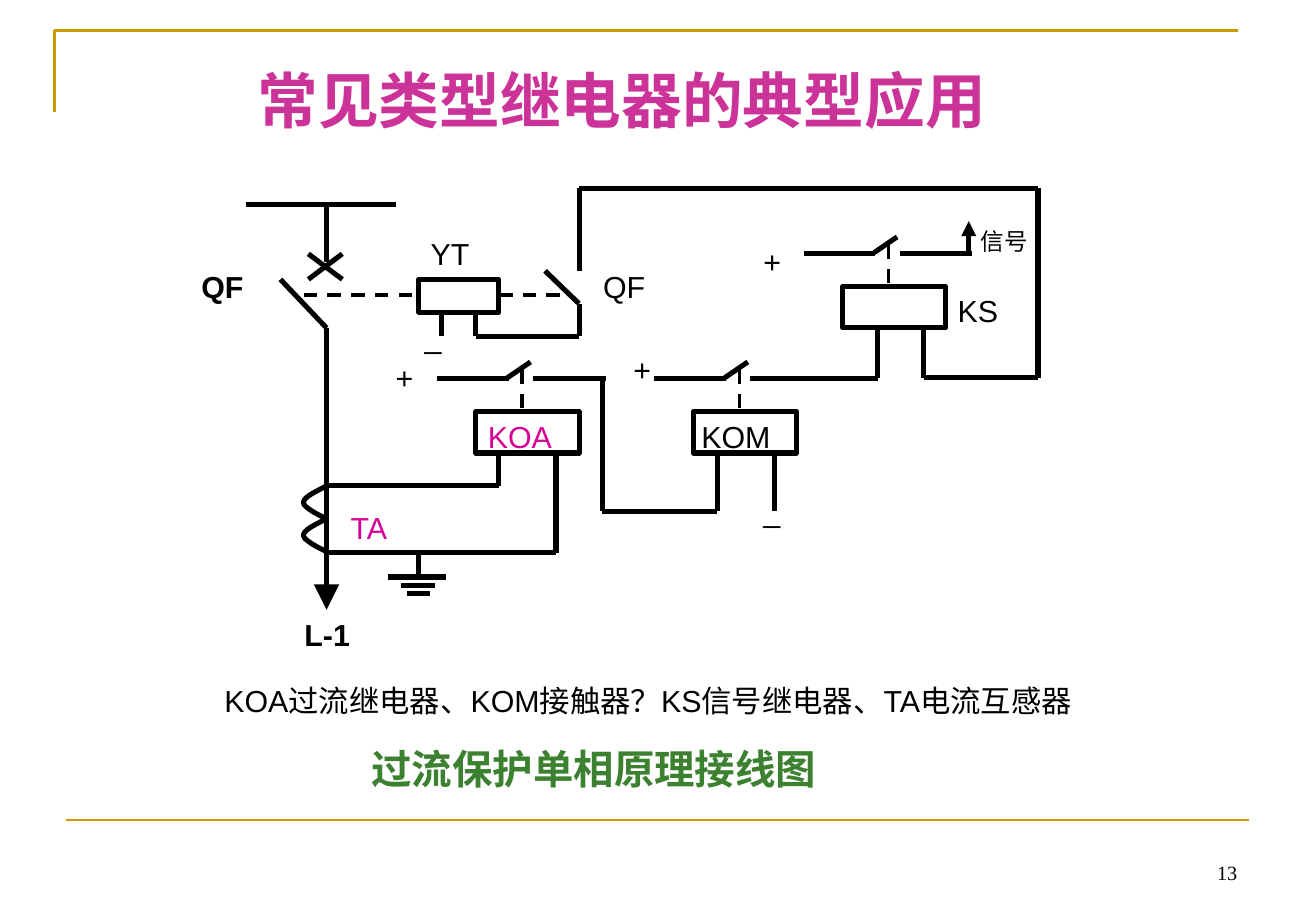
"""Slide: typical relay application, single-phase overcurrent protection wiring."""
from itertools import pairwise

from lxml import etree
from pptx import Presentation
from pptx import util as u
from pptx.dml.color import RGBColor
from pptx.enum import dml, shapes, text
from pptx.oxml import ns

PX = 9144
BLACK = RGBColor(0, 0, 0)
WHITE = RGBColor(255, 255, 255)
GOLD = RGBColor(0xCC, 0x99, 0x00)
PINK = RGBColor(0xCC, 0x33, 0x99)
MAGENTA = RGBColor(0xD6, 0x00, 0x93)
GREEN = RGBColor(0x3B, 0x81, 0x2F)

WIRES = [
    [(203, 168), (326, 168)],
    [(269, 168), (269, 216)],
    [(254, 209), (282, 230)],
    [(282, 209), (254, 230)],
    [(231, 230), (269, 270)],
    [(269, 400), (411, 400), (411, 373)],
    [(269, 455), (458, 455), (458, 373)],
    [(496, 312), (496, 421), (591, 421), (591, 373)],
    [(638, 373), (638, 421)],
    [(723, 270), (723, 311)],
    [(761, 270), (761, 311), (855, 311), (855, 155), (477, 155), (477, 223)],
    [(449, 223), (477, 250), (477, 277), (392, 277), (392, 257)],
    [(364, 257), (364, 277)],
    [(345, 455), (345, 475)],
    [(320, 475), (367, 475)],
    [(330, 482), (358, 482)],
    [(335, 489), (354, 489)],
]
MECHANICAL_LINKS = [[(250, 243), (345, 243)], [(411, 243), (468, 243)]]
RELAYS = [(360, 312, 499), (539, 312, 723), (662, 209, 801)]
LABELS = [
    ("YT", 345, 189, BLACK),
    ("KOA", 392, 339, MAGENTA),
    ("KS", 779, 236, BLACK),
    ("KOM", 568, 339, BLACK),
    ("TA", 279, 414, MAGENTA),
    ("QF", 487, 216, BLACK),
    ("_", 340, 257, BLACK),
    ("+", 619, 195, BLACK),
    ("+", 512, 284, BLACK),
    ("+", 316, 291, BLACK),
    ("_", 619, 400, BLACK),
]
BOLD_LABELS = [("QF", 156, 216), ("L-1", 241, 502)]


def wire(slide, points, color=BLACK, width=3, dashed=False, arrow=None):
    """Draw straight connectors through the points, with an optional arrowhead."""
    for start, end in pairwise(points):
        segment = slide.shapes.add_connector(
            shapes.MSO_CONNECTOR.STRAIGHT, *(v * PX for v in start + end))
        segment.line.color.rgb = color
        segment.line.width = u.Pt(width)
        if dashed:
            segment.line.dash_style = dml.MSO_LINE.DASH
        if arrow:
            etree.SubElement(segment.line._get_or_add_ln(), ns.qn("a:tailEnd"),
                             type="triangle", w=arrow, len=arrow)
        etree.SubElement(segment._element.spPr, ns.qn("a:effectLst"))


def outline(slide, points, color, width):
    """Draw an open, unfilled freeform through the points."""
    builder = slide.shapes.build_freeform(
        *(round(v * PX) for v in points[0]), scale=1.0)
    builder.add_line_segments(
        [(round(x * PX), round(y * PX)) for x, y in points[1:]], close=False)
    curve = builder.convert_to_shape()
    curve.shadow.inherit = False
    curve.fill.background()
    curve.line.color.rgb = color
    curve.line.width = u.Pt(width)


def bezier(controls, steps=12):
    """Return points along a cubic curve."""
    def at(t, a, b, c, d):
        s = 1 - t
        return s**3 * a + 3 * s * s * t * b + 3 * s * t * t * c + t**3 * d
    return [tuple(at(i / steps, *axis) for axis in zip(*controls))
            for i in range(steps + 1)]


def transformer_turn(slide, y):
    """Draw one turn of the current transformer."""
    upper = bezier([(269, y), (260, y + 5), (250, y + 9), (250, y + 14)])
    lower = bezier([(250, y + 14), (250, y + 18), (266, y + 26), (269, y + 27)])
    outline(slide, upper + lower[1:], BLACK, 3)


def coil(slide, x, y, width, height):
    """Draw a relay coil as a white box."""
    box = slide.shapes.add_shape(
        shapes.MSO_SHAPE.RECTANGLE, x * PX, y * PX, width * PX, height * PX)
    box.shadow.inherit = False
    box.fill.solid()
    box.fill.fore_color.rgb = WHITE
    box.line.color.rgb = BLACK
    box.line.width = u.Pt(3)


def relay(slide, x, y, lead_end):
    """Draw a contact, its right lead, and the coil that moves it."""
    wire(slide, [(x, y), (x + 59, y)])
    wire(slide, [(x + 58, y - 1), (x + 77, y - 14)])
    wire(slide, [(x + 79, y), (lead_end, y)])
    wire(slide, [(x + 70, y - 7), (x + 70, y + 27)], width=2, dashed=True)
    coil(slide, x + 32, y + 27, 85, 34)


def add_run(paragraph, words, size, color, bold=False, font="Arial"):
    """Add one formatted run to a paragraph."""
    run = paragraph.add_run()
    run.text = words
    run.font.size = u.Pt(size)
    run.font.bold = bold
    run.font.name = font
    run.font.color.rgb = color


def text_frame(slide, x, y, width, height):
    """Add a wrapping text box and return its frame."""
    frame = slide.shapes.add_textbox(
        x * PX, y * PX, width * PX, height * PX).text_frame
    frame.word_wrap = True
    return frame


def label(slide, words, x, y, color=BLACK, size=18, bold=False):
    """Add a one-line circuit label."""
    frame = text_frame(slide, x, y, 90, 40)
    add_run(frame.paragraphs[0], words, size, color, bold)


def heading(slide):
    """Place and fill the title."""
    title = slide.shapes.title
    title.left, title.top, title.width, title.height = (
        v * PX for v in (143, 47, 764, 70))
    frame = title.text_frame
    frame.margin_left = 69 * PX
    frame.auto_size = text.MSO_AUTO_SIZE.NONE
    frame.vertical_anchor = text.MSO_ANCHOR.MIDDLE
    paragraph = frame.paragraphs[0]
    paragraph.alignment = text.PP_ALIGN.LEFT
    add_run(paragraph, "常见类型继电器的典型应用", 36, PINK, True, "Times New Roman")


def legend(slide):
    """Add the legend and the caption below the circuit."""
    frame = text_frame(slide, 175, 557, 737, 131)
    add_run(frame.paragraphs[0],
            "KOA过流继电器、KOM接触器？KS信号继电器、TA电流互感器", 18, BLACK)
    caption = frame.add_paragraph()
    caption.space_before = u.Pt(15)
    caption._p.get_or_add_pPr().set("marL", str(121 * PX))
    add_run(caption, "过流保护单相原理接线图", 24, GREEN, True)


def page_number(slide):
    """Add the page number at the lower right."""
    frame = text_frame(slide, 776, 683, 253, 50)
    frame.vertical_anchor = text.MSO_ANCHOR.BOTTOM
    frame.paragraphs[0].alignment = text.PP_ALIGN.RIGHT
    add_run(frame.paragraphs[0], "13", 12, BLACK, font="Times New Roman")


def main():
    """Build and save the slide."""
    deck = Presentation()
    deck.slide_width, deck.slide_height = 1084 * PX, 750 * PX
    slide = deck.slides.add_slide(deck.slide_layouts[5])
    outline(slide, [(45, 92), (45, 25), (1020, 25)], GOLD, 1.5)
    wire(slide, [(54, 675), (1029, 675)], GOLD, 1.5)
    page_number(slide)
    for points in WIRES:
        wire(slide, points)
    for points in MECHANICAL_LINKS:
        wire(slide, points, width=2, dashed=True)
    wire(slide, [(269, 270), (269, 502)], arrow="lg")
    wire(slide, [(798, 209), (798, 182)], arrow="med")
    for y in (400, 427):
        transformer_turn(slide, y)
    coil(slide, 345, 230, 66, 27)
    for x, y, lead_end in RELAYS:
        relay(slide, x, y, lead_end)
    for words, x, y, color in LABELS:
        label(slide, words, x, y, color)
    for words, x, y in BOLD_LABELS:
        label(slide, words, x, y, bold=True)
    label(slide, "信号", 798, 182, size=14)
    legend(slide)
    heading(slide)
    deck.save("out.pptx")


if __name__ == "__main__":
    main()
